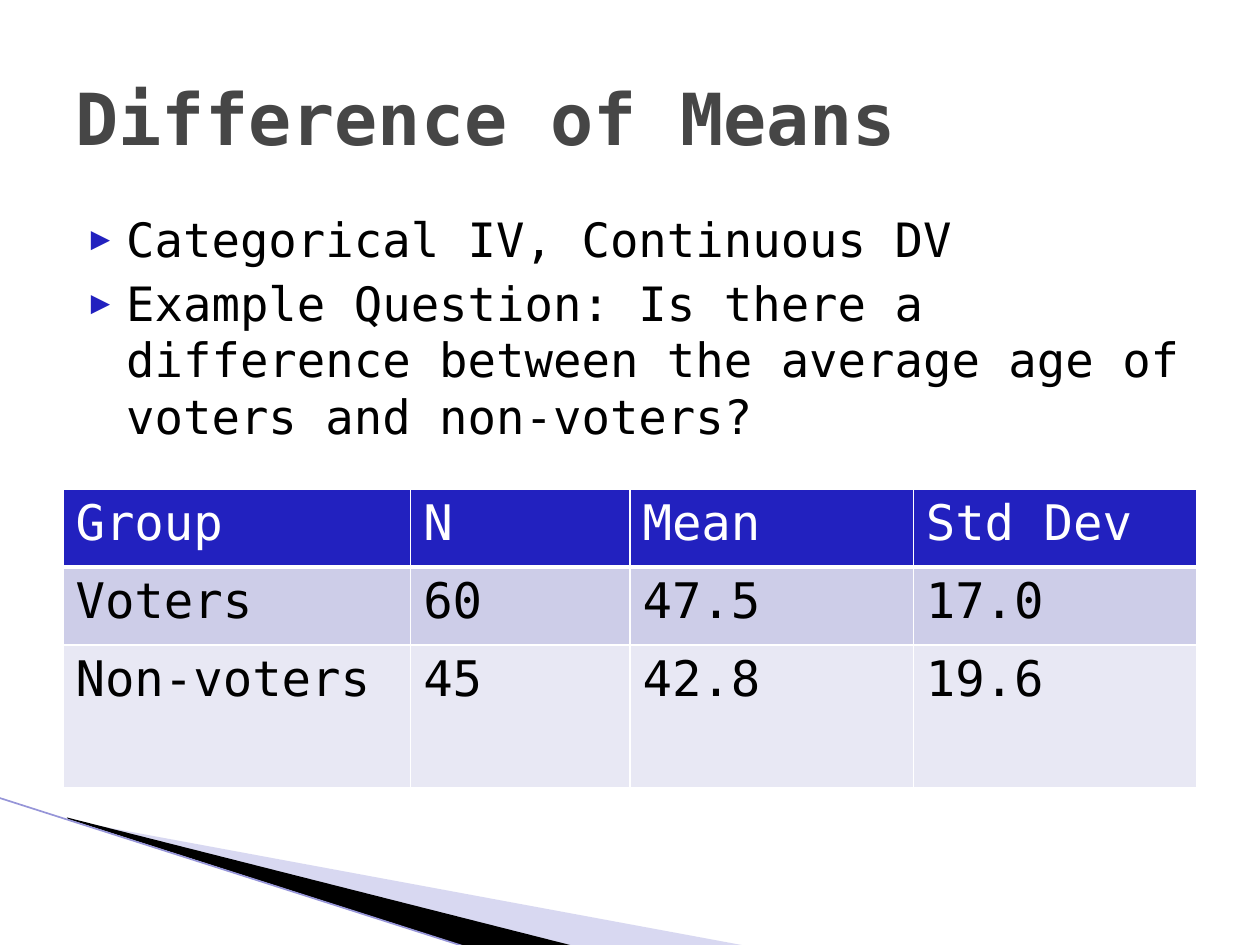
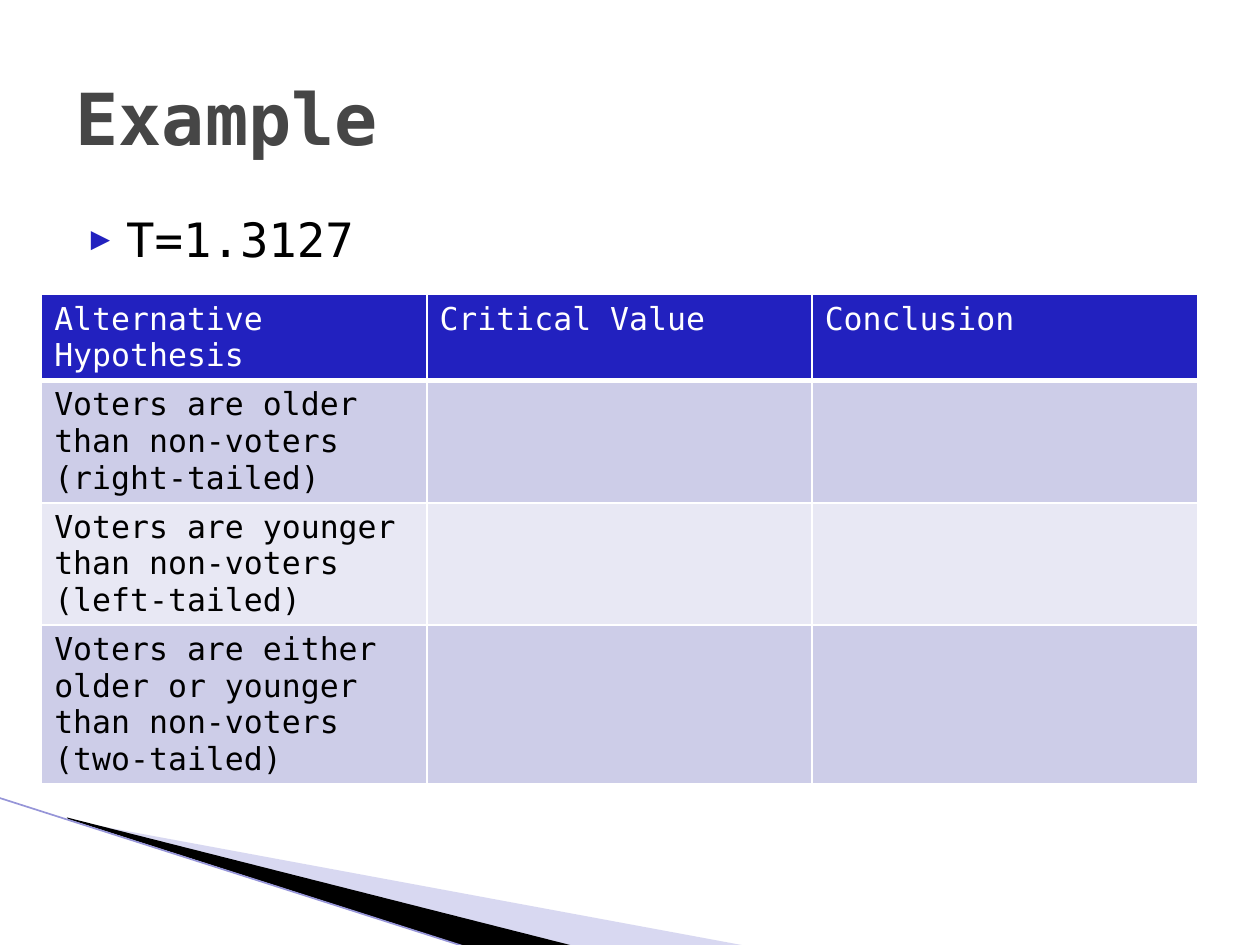
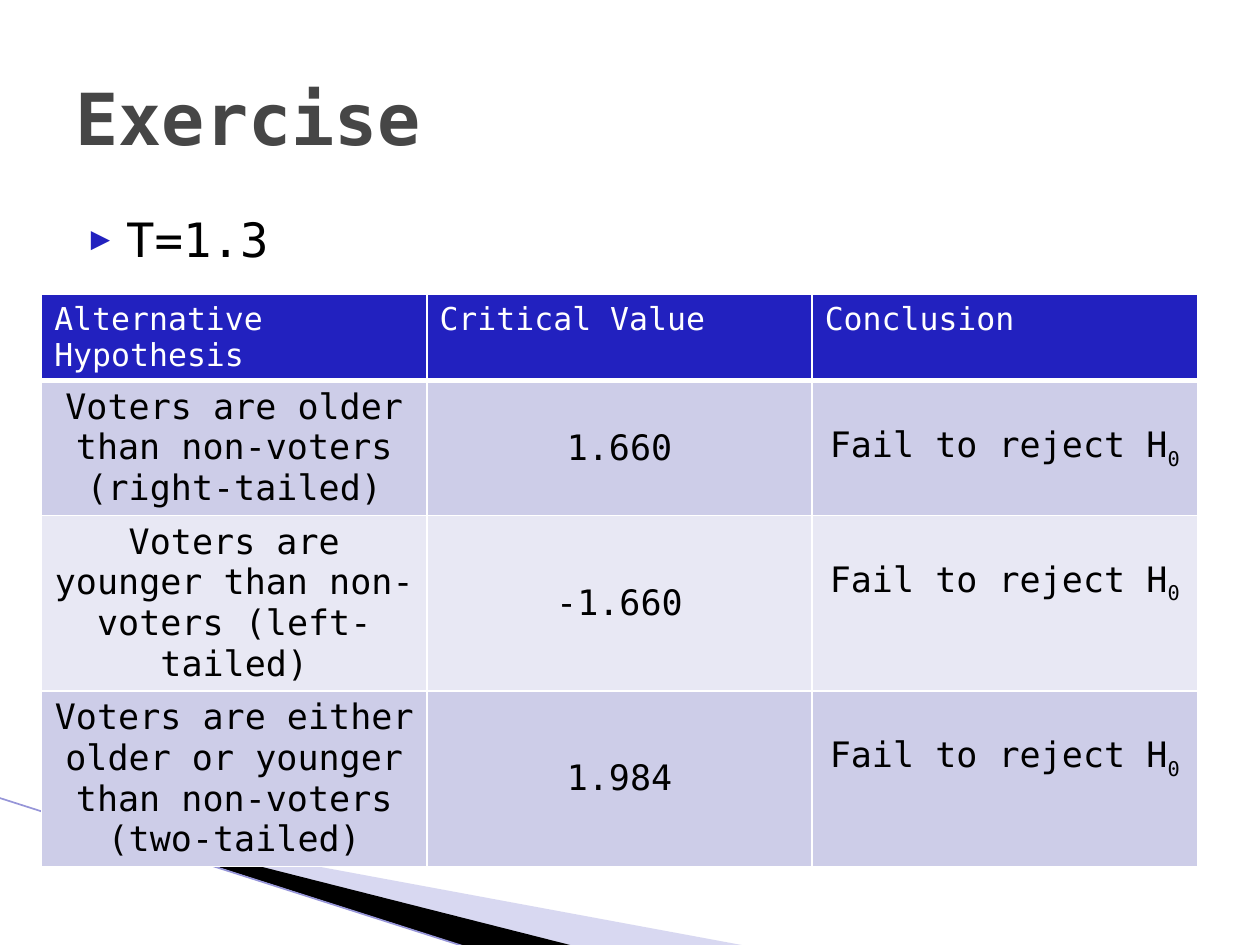
from lxml import etree
from pptx import Presentation
from pptx.dml.color import RGBColor
from pptx.enum.shapes import MSO_CONNECTOR
from pptx.enum.text import MSO_ANCHOR, MSO_AUTO_SIZE, PP_ALIGN
from pptx.oxml.ns import qn
from pptx.util import Cm, Pt

STRAIGHT = MSO_CONNECTOR.STRAIGHT
MIDDLE, TOP = MSO_ANCHOR.MIDDLE, MSO_ANCHOR.TOP
LEFT, CENTER = PP_ALIGN.LEFT, PP_ALIGN.CENTER
NO_FIT = MSO_AUTO_SIZE.NONE

FONT = "DejaVu Sans Mono"
BLUE, LILAC, EDGE = "2221BF", "9F9FDC", "9695D8"
BLACK, WHITE, GREY = "000000", "FFFFFF", "464646"
ROW_FILLS = ("CDCDE8", "E8E8F4")

# Boxes in cm: left, top, width, height
TITLE_BOX = (1.27, 0.76, 22.86, 3.18)
BODY_BOX = (1.27, 4.11, 22.86, 12.57)
BAND_BOX = (0, 16.08, 15.11, 3.02)
HYPOTHESIS_ROW = 1.04
HYPOTHESIS_HEAD = ["Alternative Hypothesis", "Critical Value", "Conclusion"]
HYPOTHESES = ["Voters are older than non-voters (right-tailed)",
              "Voters are younger than non-voters (left-tailed)",
              "Voters are either older or younger than non-voters (two-tailed)"]
SUB = "|"  # the text after this mark is set as a subscript


def rgb(color):
    return RGBColor.from_string(color)


def sub(parent, tag, **attrs):
    child = etree.SubElement(parent, qn(tag))
    for name, value in attrs.items():
        child.set(name, str(value))
    return child


def style_runs(p, size, color, bold=False):
    for r in p.runs:
        r.font.name, r.font.size, r.font.bold = FONT, Pt(size), bold
        r.font.color.rgb = rgb(color)


def place(sp, box):
    sp.left, sp.top, sp.width, sp.height = map(Cm, box)


def add_wedge(slide, box, points, color, opacity=100):
    corners = [(Cm(box[0] + x), Cm(box[1] + y)) for x, y in points]
    builder = slide.shapes.build_freeform(*corners[0], scale=1.0)
    builder.add_line_segments(corners[1:], close=True)
    sp = builder.convert_to_shape()
    sp.shadow.inherit = False
    sp.line.fill.background()
    sp.fill.solid()
    sp.fill.fore_color.rgb = rgb(color)
    if opacity < 100:
        clr = sp.element.spPr.find(".//" + qn("a:srgbClr"))
        sub(clr, "a:alpha", val=opacity * 1000)
    return sp


def add_band(slide, box):
    """Corner band: two wedges and a thin edge, moved to the shared layout."""
    x, y = box[:2]
    pale = add_wedge(slide, box, [(1.4, 0.46), (15.11, 3), (11.58, 3), (1.4, 0.43)],
                     LILAC, opacity=40)
    dark = add_wedge(slide, box, [(1.35, 0.4), (11.61, 3), (9.45, 3.02), (1.37, 0.43)],
                     BLACK)
    edge = slide.shapes.add_connector(STRAIGHT, Cm(x - 0.03), Cm(y),
                                      Cm(x + 9.42), Cm(y + 3.02))
    edge.line.color.rgb = rgb(EDGE)
    edge.line.width = Pt(0.95)
    sub(edge.element.spPr, "a:effectLst")
    for number, part in enumerate((pale, dark, edge), start=20):
        part.element.find(".//" + qn("p:cNvPr")).set("id", str(number))
        slide.slide_layout.shapes.element.append(part.element)


def fill_title(slide, text, box):
    title = slide.shapes.title
    place(title, box)
    tf = title.text_frame
    tf.text = text
    tf.auto_size, tf.vertical_anchor = NO_FIT, MIDDLE
    tf.paragraphs[0].alignment = LEFT
    style_runs(tf.paragraphs[0], 41, GREY, bold=True)


def fill_body(slide, lines, box):
    body = slide.placeholders[1]
    place(body, box)
    tf = body.text_frame
    tf.text = "\n".join(lines)
    tf.auto_size, tf.vertical_anchor = NO_FIT, TOP
    for p in tf.paragraphs:
        p.space_before = Pt(4)
        style_runs(p, 27, BLACK)
        # Hanging triangle bullet
        pPr = p._p.get_or_add_pPr()
        pPr.set("marL", str(Cm(1.02)))
        pPr.set("indent", str(Cm(-0.71)))
        sub(sub(pPr, "a:buClr"), "a:srgbClr", val=BLUE)
        sub(pPr, "a:buSzPct", val=68000)
        sub(pPr, "a:buFont", typeface=FONT)
        sub(pPr, "a:buChar", char="\u25b6")


def format_cell(cell, fill, bottom=1):
    tcPr = cell._tc.get_or_add_tcPr()
    for tag, width in (("a:lnL", 1), ("a:lnR", 1), ("a:lnT", 1), ("a:lnB", bottom)):
        line = sub(tcPr, tag, w=Pt(width))
        sub(sub(line, "a:solidFill"), "a:srgbClr", val=WHITE)
    cell.fill.solid()
    cell.fill.fore_color.rgb = rgb(fill)


def write_cell(cell, text, size, color, align):
    main, _, low = text.partition(SUB)
    p = cell.text_frame.paragraphs[0]
    p.text = main
    p.alignment = align
    if low:
        r = p.add_run()
        r.text = low
        r.font._element.set("baseline", "-25000")
    style_runs(p, size, color)


def add_grid(slide, box, rows, widths, heights, head_size, size, align=LEFT):
    frame = slide.shapes.add_table(len(rows), len(widths), *map(Cm, box))
    table = frame.table
    table.first_row = table.horz_banding = False
    for column, width in zip(table.columns, widths):
        column.width = Cm(width)
    for row, height in zip(table.rows, heights):
        row.height = Cm(height)
    frame.height = Cm(box[3])
    for i, texts in enumerate(rows):
        for j, text in enumerate(texts):
            cell = table.cell(i, j)
            if i == 0:
                format_cell(cell, BLUE, bottom=3)
                write_cell(cell, text, head_size, WHITE, LEFT)
            else:
                format_cell(cell, ROW_FILLS[(i - 1) % 2])
                write_cell(cell, text, size, BLACK, align)
    return table


def add_hypotheses(slide, box, results, size, align=LEFT):
    rows = [HYPOTHESIS_HEAD] + [[h, *r] for h, r in zip(HYPOTHESES, results)]
    return add_grid(slide, box, rows, [box[2] / 3] * 3,
                    [HYPOTHESIS_ROW] * len(rows), 18, size, align)


def add_slide(prs, title, lines):
    slide = prs.slides.add_slide(prs.slide_layouts[1])
    fill_title(slide, title, TITLE_BOX)
    fill_body(slide, lines, BODY_BOX)
    return slide


prs = Presentation()
prs.slide_width, prs.slide_height = Cm(25.4), Cm(19.05)

# Slide 1: group statistics
means = add_slide(prs, "Difference of Means", [
    "Categorical IV, Continuous DV",
    "Example Question: Is there a difference between the average age of "
    "voters and non-voters?"])
add_band(means, BAND_BOX)
add_grid(means, (1.27, 9.86, 22.86, 5.99),
         [["Group", "N", "Mean", "Std Dev"],
          ["Voters", "60", "47.5", "17.0"],
          ["Non-voters", "45", "42.8", "19.6"]],
         [7.01, 4.42, 5.71, 5.72], [1.57, 1.57, 2.87], 28, 28)

# Slide 2: hypotheses with open results
example = add_slide(prs, "Example", ["T=1.3127"])
add_hypotheses(example, (0.84, 5.94, 23.3, 8.66), [["", ""]] * 3, 18)

# Slide 3: hypotheses with results
exercise = add_slide(prs, "Exercise", ["T=1.3"])
verdict = "Fail to reject H" + SUB + "0"
answers = add_hypotheses(exercise, (0.84, 5.94, 23.3, 10.26),
                         [[value, verdict] for value in ("1.660", "-1.660", "1.984")],
                         20, CENTER)
for i in range(1, 4):
    for j in (1, 2):
        answers.cell(i, j).vertical_anchor = MIDDLE
    if i > 1:  # the lower verdicts sit a little above the middle
        answers.cell(i, 2).margin_bottom = Cm(0.95)

prs.save("out.pptx")
